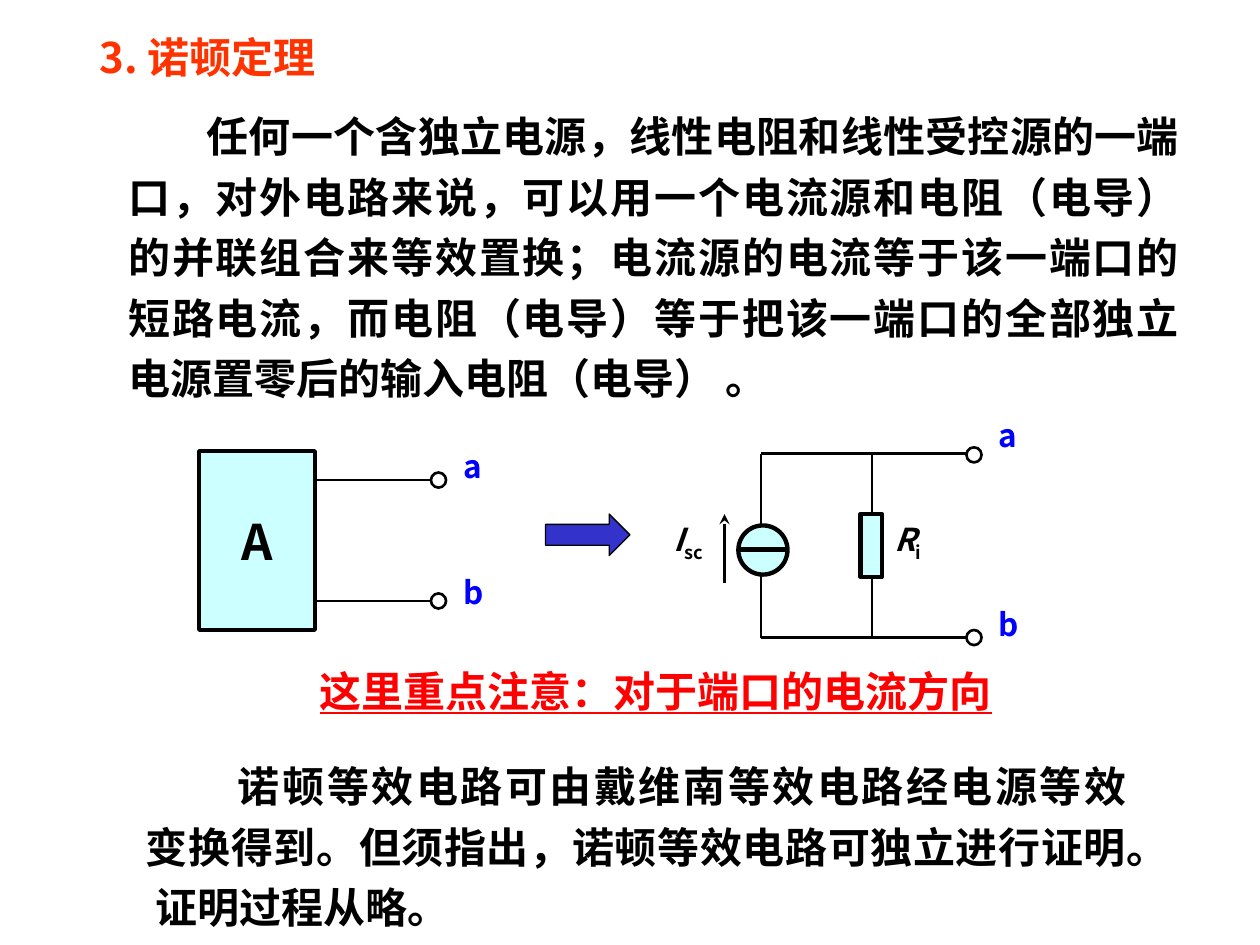
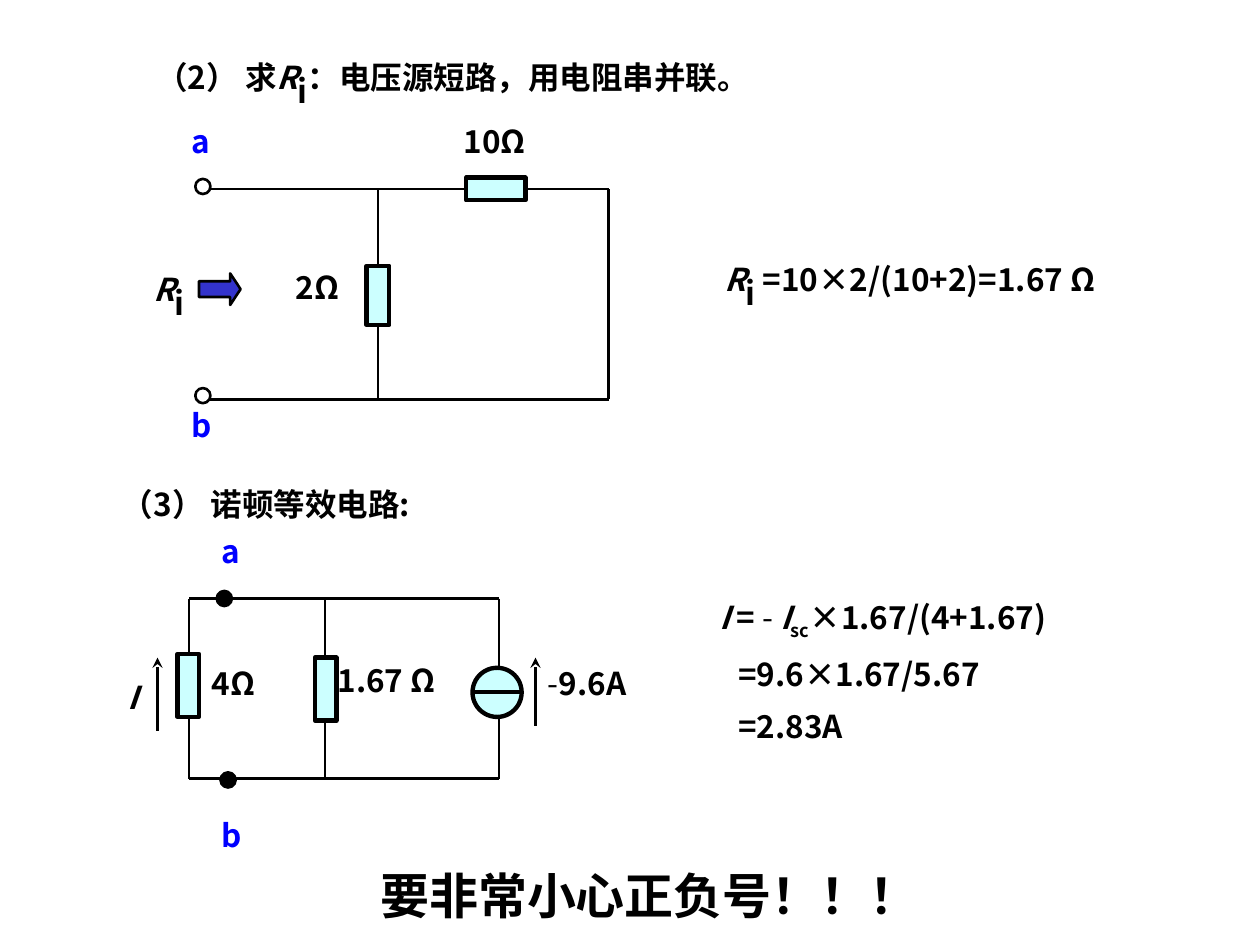
from dataclasses import dataclass

import pptx
import pptx.dml.color
import pptx.enum.shapes
import pptx.enum.text
import pptx.oxml
import pptx.oxml.ns
import pptx.util

SHAPE = pptx.enum.shapes.MSO_SHAPE
ANCHOR = pptx.enum.text.MSO_ANCHOR
ALIGN = pptx.enum.text.PP_ALIGN
EMU_PER_PX = 9144


@dataclass(frozen=True)
class Theme:
    sans: str = "Noto Sans CJK SC"
    serif: str = "Times New Roman"
    ink: str = "000000"
    heading: str = "FF3300"
    warning: str = "FF0000"
    port: str = "0000FF"
    component: str = "CCFFFF"
    arrow: str = "3333CC"
    label_size: int = 18
    body_size: int = 24
    large_size: int = 28
    subscript_size: int = 32
    thin: float = 0.75
    wire: float = 1.5
    frame: float = 2.25
    outline: float = 2.5
    body_spacing: float = 1.2
    line_gap: int = 8


THEME = Theme()


@dataclass(frozen=True)
class Span:
    text: str
    size: int = THEME.label_size
    colour: str = THEME.ink
    font: str = THEME.sans
    bold: bool = True
    italic: bool = False
    underline: bool = False
    subscript: bool = False


def symbol(name, index="", index_size=THEME.label_size):
    spans = [Span(name, italic=True)]
    if index:
        spans.append(Span(index, index_size, subscript=True))
    return spans


def px(length):
    return pptx.util.Emu(length * EMU_PER_PX)


def rgb(colour):
    return pptx.dml.color.RGBColor.from_string(colour)


class Deck:
    def __init__(self, theme):
        self.theme = theme
        self.presentation = pptx.Presentation()
        self.presentation.slide_width = px(1000)
        self.presentation.slide_height = px(750)
        self.slide = None

    def new_slide(self, spans, left, top, width):
        layout = self.presentation.slide_layouts[5]
        self.slide = self.presentation.slides.add_slide(layout)
        title = self.slide.shapes.title
        title.left, title.top, title.width, title.height = map(px, (left, top, width, 50))
        self.set_text(title.text_frame, [spans], ANCHOR.MIDDLE)

    def set_text(self, frame, paragraphs, anchor=ANCHOR.TOP, align=ALIGN.LEFT,
                 first_indent=0, later_margin=0, spacing=None):
        frame.word_wrap = True
        frame.auto_size = pptx.enum.text.MSO_AUTO_SIZE.NONE
        frame.vertical_anchor = anchor
        for index, spans in enumerate(paragraphs):
            paragraph = frame.add_paragraph() if index else frame.paragraphs[0]
            paragraph.alignment = align
            if spacing:
                paragraph.line_spacing = spacing
            properties = paragraph._p.get_or_add_pPr()
            if first_indent:
                properties.set("indent", str(px(first_indent)))
            if index:
                paragraph.space_before = pptx.util.Pt(self.theme.line_gap)
                properties.set("marL", str(px(later_margin)))
            for span in spans:
                self.add_run(paragraph, span)

    def add_run(self, paragraph, span):
        run = paragraph.add_run()
        run.text = span.text
        run.font.size = pptx.util.Pt(span.size)
        run.font.bold = span.bold
        run.font.italic = span.italic
        run.font.underline = span.underline
        run.font.color.rgb = rgb(span.colour)
        run.font.name = span.font
        properties = run._r.get_or_add_rPr()
        east_asian = pptx.oxml.parse_xml(
            f'<a:ea {pptx.oxml.ns.nsdecls("a")} typeface="{self.theme.sans}"/>')
        properties.append(east_asian)
        if span.subscript:
            properties.set("baseline", "-25000")

    def text(self, paragraphs, left, top, width, height=50, **style):
        box = self.slide.shapes.add_textbox(*map(px, (left, top, width, height)))
        self.set_text(box.text_frame, paragraphs, **style)

    def label(self, text, left, top, width=125):
        self.text([[Span(text)]], left, top, width)

    def port(self, name, left, top):
        self.text([[Span(name, colour=self.theme.port)]], left, top, 45)

    def body(self, text, left, top, width, height, first_indent):
        span = Span(text, self.theme.body_size, font=self.theme.serif)
        self.text([[span]], left, top, width, height, align=ALIGN.JUSTIFY,
                  first_indent=first_indent, spacing=self.theme.body_spacing)

    def shape(self, kind, left, top, width, height, fill, weight):
        shape = self.slide.shapes.add_shape(kind, *map(px, (left, top, width, height)))
        shape.shadow.inherit = False
        if fill:
            shape.fill.solid()
            shape.fill.fore_color.rgb = rgb(fill)
        else:
            shape.fill.background()
        shape.line.color.rgb = rgb(self.theme.ink)
        shape.line.width = pptx.util.Pt(weight)
        return shape

    def block_arrow(self, left, top, width, height, head, weight):
        arrow = self.shape(SHAPE.RIGHT_ARROW, left, top, width, height,
                           self.theme.arrow, weight)
        arrow.adjustments[0] = 0.5
        arrow.adjustments[1] = head

    def node(self, x, y, fill=None):
        self.shape(SHAPE.OVAL, x - 6, y - 6, 12, 12, fill, self.theme.wire)

    def resistor(self, left, top, width=17, height=50):
        self.shape(SHAPE.RECTANGLE, left, top, width, height,
                   self.theme.component, self.theme.outline)

    def current_source(self, left, top, diameter=39):
        self.shape(SHAPE.OVAL, left, top, diameter, diameter,
                   self.theme.component, self.theme.outline)
        middle = top + diameter // 2
        self.wire(left, middle, left + diameter, middle, self.theme.outline)

    def wire(self, x1, y1, x2, y2, weight=THEME.wire, arrow=False):
        line = self.slide.shapes.add_connector(
            pptx.enum.shapes.MSO_CONNECTOR.STRAIGHT, *map(px, (x1, y1, x2, y2)))
        line.line.color.rgb = rgb(self.theme.ink)
        line.line.width = pptx.util.Pt(weight)
        namespace = pptx.oxml.ns.nsdecls("a")
        if arrow:
            line.line._get_or_add_ln().append(
                pptx.oxml.parse_xml(f'<a:tailEnd {namespace} type="stealth"/>'))
        line._element.spPr.append(pptx.oxml.parse_xml(f"<a:effectLst {namespace}/>"))

    def ladder(self, left, right, top, bottom, branches):
        for rail in (top, bottom):
            self.wire(left, rail, right, rail)
        for branch in branches:
            self.wire(branch, top, branch, bottom)


def norton_theorem(deck):
    theme = deck.theme
    deck.new_slide([Span("3. 诺顿定理", theme.body_size, theme.heading)], 69, 20, 240)
    deck.body("任何一个含独立电源，线性电阻和线性受控源的一端 "
              "口，对外电路来说，可以用一个电流源和电阻（电导） "
              "的并联组合来等效置换；电流源的电流等于该一端口的 "
              "短路电流，而电阻（电导）等于把该一端口的全部独立 "
              "电源置零后的输入电阻（电导） 。", 92, 75, 854, 250, 62)
    deck.body("诺顿等效电路可由戴维南等效电路经电源等效 "
              "变换得到。但须指出，诺顿等效电路可独立进行证明。 "
              "证明过程从略。", 106, 591, 798, 154, 73)

    network = deck.shape(SHAPE.RECTANGLE, 158, 358, 92, 142, theme.component, theme.frame)
    deck.set_text(network.text_frame, [[Span("A", theme.large_size)]],
                  ANCHOR.MIDDLE, ALIGN.CENTER)
    for name, y, label_top in (("a", 381, 350), ("b", 477, 450)):
        deck.wire(250, y, 342, y)
        deck.node(348, y)
        deck.port(name, 358, label_top)
    deck.block_arrow(433, 408, 67, 33, 0.5, theme.thin)

    deck.ladder(604, 767, 360, 506, (604, 692))
    deck.resistor(683, 408)
    deck.current_source(586, 417)
    for name, y, label_top in (("a", 361, 325), ("b", 506, 475)):
        deck.node(773, y)
        deck.port(name, 783, label_top)
    deck.wire(575, 463, 575, 408, arrow=True)
    deck.text([symbol("I", "sc")], 525, 408, 75)
    deck.text([symbol("R", "i")], 700, 408, 125)
    deck.text([[Span("这里重点注意：对于端口的电流方向", theme.body_size,
                     theme.warning, theme.serif, underline=True)]], 244, 523, 580)


def norton_example(deck):
    theme = deck.theme
    resistance = symbol("R", "i", theme.subscript_size)
    deck.new_slide([Span("（2） 求"), *resistance,
                    Span("：电压源短路，用电阻串并联。")], 114, 32, 640)
    deck.text([[*resistance, Span(" =10×2/(10+2)=1.67 Ω")]],
              565, 192, 380, anchor=ANCHOR.MIDDLE)

    deck.ladder(167, 483, 150, 317, (300, 483))
    deck.resistor(291, 211, 18, 47)
    deck.resistor(370, 141, 47, 18)
    for name, y, label_top in (("a", 148, 92), ("b", 314, 317)):
        deck.node(161, y)
        deck.port(name, 142, label_top)
    deck.block_arrow(158, 217, 33, 25, 0.33, theme.wire)
    deck.text([resistance], 112, 200, 60, anchor=ANCHOR.MIDDLE)
    deck.label("2Ω", 225, 208)
    deck.label("10Ω", 358, 92)

    deck.text([[Span("（3） 诺顿等效电路:")]], 87, 375, 340, anchor=ANCHOR.MIDDLE)
    deck.ladder(150, 396, 475, 618, (150, 258, 396))
    deck.resistor(141, 519)
    deck.resistor(250, 522)
    deck.current_source(375, 530)
    deck.node(178, 475, theme.ink)
    deck.node(181, 619, theme.ink)
    deck.port("a", 166, 417)
    deck.port("b", 166, 643)
    deck.wire(125, 580, 125, 522, arrow=True)
    deck.wire(425, 576, 425, 522, arrow=True)
    deck.text([symbol("I")], 85, 528, 40, anchor=ANCHOR.MIDDLE, align=ALIGN.CENTER)
    deck.label("4Ω", 158, 522)
    deck.label("1.67 Ω", 258, 520)
    deck.text([[Span("-", bold=False), Span("9.6A")]], 425, 522, 117)

    deck.text([
        [*symbol("I"), Span(" = "), Span("- ", bold=False),
         *symbol("I", "sc"), Span("×1.67/(4+1.67)")],
        [Span("=9.6×1.67/5.67")],
        [Span("=2.83A")],
    ], 561, 448, 344, 170, anchor=ANCHOR.MIDDLE, later_margin=15)
    deck.text([[Span("要非常小心正负号！！！", theme.large_size)]], 292, 682, 480, 57)


def main():
    deck = Deck(THEME)
    norton_theorem(deck)
    norton_example(deck)
    deck.presentation.save("out.pptx")


if __name__ == "__main__":
    main()
